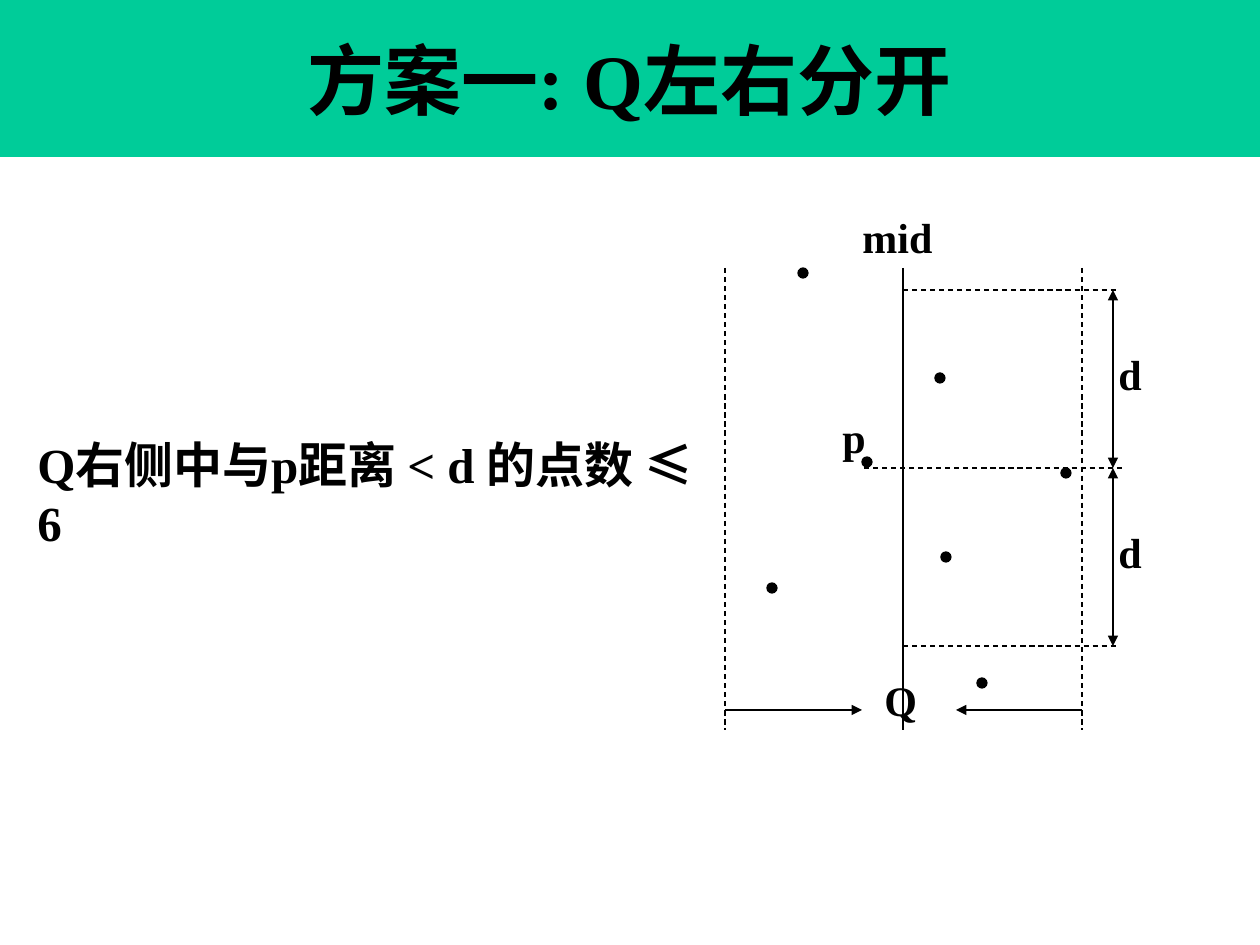
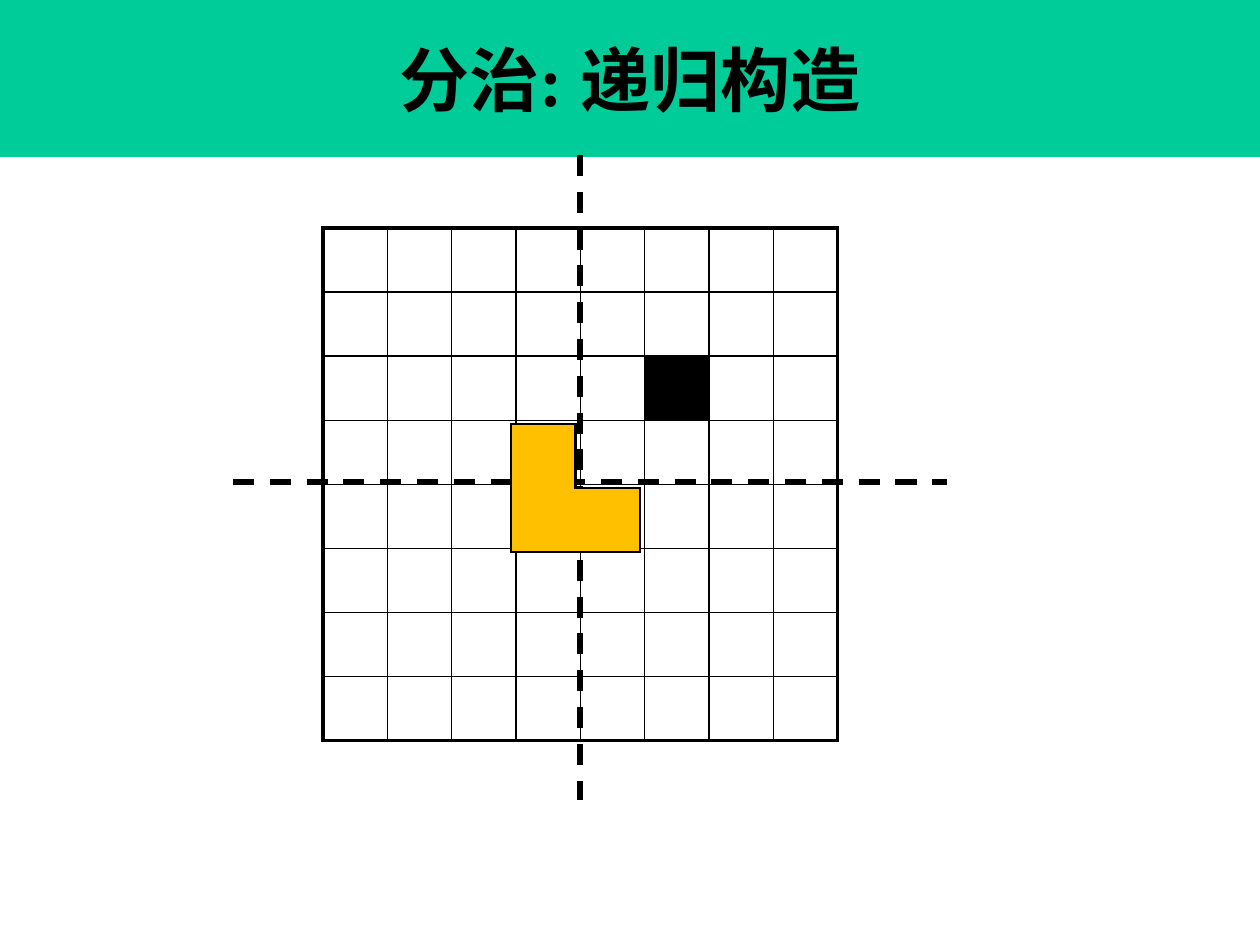
import lxml.etree
import pptx
import pptx.dml.color
import pptx.enum.dml
import pptx.enum.lang
import pptx.enum.shapes
import pptx.enum.text
import pptx.oxml.ns
import pptx.util


class Theme:
    ink = pptx.dml.color.RGBColor(0x00, 0x00, 0x00)
    band = pptx.dml.color.RGBColor(0x00, 0xCC, 0x99)
    gold = pptx.dml.color.RGBColor(0xFF, 0xC0, 0x00)
    face = "Times New Roman"
    tongue = pptx.enum.lang.MSO_LANGUAGE_ID.SIMPLIFIED_CHINESE
    label = 24
    body = 28
    thin = 0.75
    axis = 3
    inner = 1
    frame = 2.25
    edge = 1.5


PX = 914400 / 126
qn = pptx.oxml.ns.qn
Form = pptx.enum.shapes.MSO_SHAPE


def line(home, ends, width, dash=False, head=False, tail=False):
    link = home.add_connector(
        pptx.enum.shapes.MSO_CONNECTOR.STRAIGHT, *[round(v * PX) for v in ends])
    link.line.color.rgb = Theme.ink
    link.line.width = pptx.util.Pt(width)
    if dash:
        link.line.dash_style = pptx.enum.dml.MSO_LINE.DASH
    pen = link.line._get_or_add_ln()
    for tag, shown in (("a:headEnd", head), ("a:tailEnd", tail)):
        if shown:
            lxml.etree.SubElement(pen, qn(tag), type="triangle")
    lxml.etree.SubElement(link._element.spPr, qn("a:effectLst"))


def board(home, box, count, paint, weigh):
    left, top, wide, high = [round(v * PX) for v in box]
    grid = home.add_table(count, count, left, top, wide, high).table
    grid.first_row = grid.horz_banding = False
    sides = (("a:lnL", 0, -1), ("a:lnR", 0, 1), ("a:lnT", -1, 0), ("a:lnB", 1, 0))
    for row in range(count):
        for col in range(count):
            cell = grid.cell(row, col)
            if (row, col) in paint:
                cell.fill.solid()
                cell.fill.fore_color.rgb = paint[row, col]
            else:
                cell.fill.background()
            props = cell._tc.get_or_add_tcPr()
            for spot, (tag, down, right) in enumerate(sides):
                width = weigh((row, col), (row + down, col + right))
                pen = lxml.etree.Element(qn(tag), w=str(pptx.util.Pt(width)))
                if width:
                    fill = lxml.etree.SubElement(pen, qn("a:solidFill"))
                    lxml.etree.SubElement(fill, qn("a:srgbClr"), val=str(Theme.ink))
                else:
                    lxml.etree.SubElement(pen, qn("a:noFill"))
                props.insert(spot, pen)


deck = pptx.Presentation()
deck.slide_width = round(1260 * PX)
deck.slide_height = round(945 * PX)
pages = []
texts = []

for words, size in (("方案一: Q左右分开", 44), ("分治: 递归构造", 40)):
    page = deck.slides.add_slide(deck.slide_layouts[6])
    pages.append(page.shapes)
    band = page.shapes.add_shape(Form.RECTANGLE, 0, 0, deck.slide_width, round(157 * PX))
    band.shadow.inherit = False
    band.fill.solid()
    band.fill.fore_color.rgb = Theme.band
    band.line.fill.background()
    band.text_frame.vertical_anchor = pptx.enum.text.MSO_ANCHOR.MIDDLE
    band.text_frame.paragraphs[0].alignment = pptx.enum.text.PP_ALIGN.CENTER
    texts.append((band, words, size))

first, second = pages

strip = first.add_group_shape().shapes
west, mid, east, scale = 725, 903, 1082, 1113
roof, level, floor = 290, 468, 646

for x in (west, mid, east):
    line(strip, (x, 268, x, 730), Theme.thin, dash=x != mid)
for x, y in ((mid, roof), (864, level), (mid, floor)):
    line(strip, (x, y, 1123 if y == level else 1119, y), Theme.thin, dash=True)
for top, low in ((roof, level), (level, floor)):
    line(strip, (scale, low, scale, top), Theme.thin, head=True, tail=True)
for start, end in ((west, 862), (east, 956)):
    line(strip, (start, 710, end, 710), Theme.thin, tail=True)

dots = ((798, 268), (935, 373), (862, 457), (1061, 468), (941, 552), (767, 583), (977, 678))
for x, y in dots:
    dot = strip.add_shape(Form.OVAL, *[round(v * PX) for v in (x, y, 10, 10)])
    dot.shadow.inherit = False
    dot.fill.solid()
    dot.fill.fore_color.rgb = Theme.ink
    dot.line.color.rgb = Theme.ink
    dot.line.width = pptx.util.Pt(Theme.thin)

notes = (
    (strip, (850, 205, 106, 63), "mid", Theme.label),
    (strip, (830, 405, 59, 63), "p", Theme.label),
    (strip, (872, 668, 68, 63), "Q", Theme.label),
    (strip, (1106, 342, 59, 63), "d", Theme.label),
    (strip, (1106, 520, 59, 63), "d", Theme.label),
    (first, (25, 428, 708, 130), "Q右侧中与p距离 < d 的点数 ≤ 6", Theme.body),
)
for home, box, words, size in notes:
    note = home.add_textbox(*[round(v * PX) for v in box])
    note.text_frame.word_wrap = True
    texts.append((note, words, size))

for shape, words, size in texts:
    run = shape.text_frame.paragraphs[0].add_run()
    run.text = words
    run.font.name = Theme.face
    run.font.size = pptx.util.Pt(size)
    run.font.bold = True
    run.font.color.rgb = Theme.ink
    run.font.language_id = Theme.tongue

board(second, (323, 228, 515, 513), 8, {(2, 5): Theme.ink},
      lambda here, there: Theme.inner if set(there) <= set(range(8)) else Theme.frame)
line(second, (233, 482, 947, 482), Theme.axis, dash=True)
line(second, (580, 155, 580, 800), Theme.axis, dash=True)
tile = dict.fromkeys(((0, 0), (1, 0), (1, 1)), Theme.gold)
board(second, (511, 424, 129, 128), 2, tile,
      lambda here, there: Theme.edge if (here in tile) != (there in tile) else 0)

deck.save("out.pptx")
